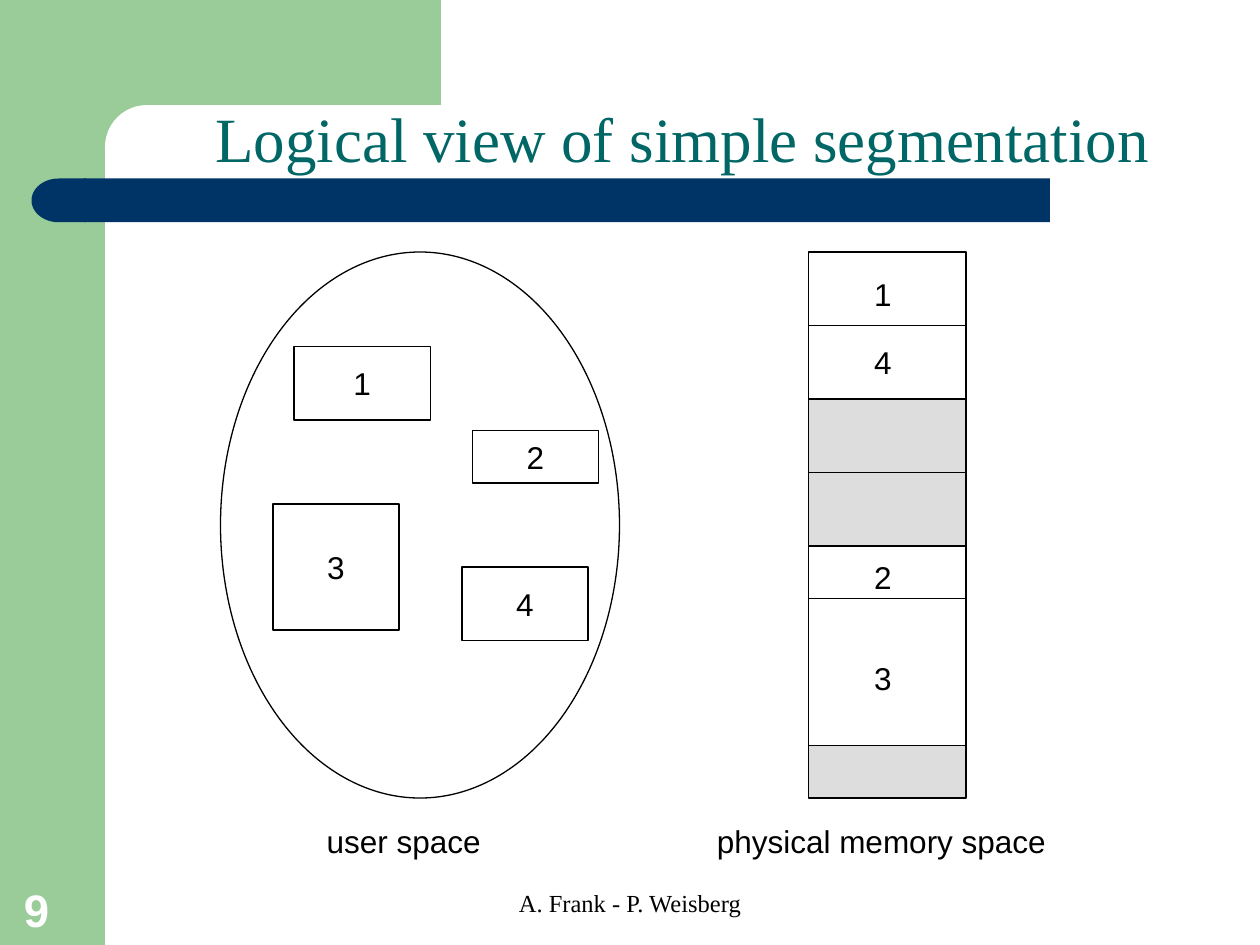
import pptx
import pptx.util
import pptx.dml.color
import pptx.enum.shapes
import pptx.enum.text
import pptx.oxml.ns
import lxml.etree

Pt = pptx.util.Pt
RGB = pptx.dml.color.RGBColor
KIND = pptx.enum.shapes.MSO_SHAPE
ANCHOR = pptx.enum.text.MSO_ANCHOR
ALIGN = pptx.enum.text.PP_ALIGN

GREEN = RGB(0x99, 0xCC, 0x99)
NAVY = RGB(0x00, 0x33, 0x66)
TEAL = RGB(0x00, 0x66, 0x66)
GRAY = RGB(0xDD, 0xDD, 0xDD)
WHITE = RGB(0xFF, 0xFF, 0xFF)
BLACK = RGB(0, 0, 0)


def write(shape, text, size=18, font="Arial", color=BLACK, bold=False,
          align=ALIGN.CENTER, anchor=ANCHOR.MIDDLE, wrap=False):
    frame = shape.text_frame
    frame.word_wrap = wrap
    frame.vertical_anchor = anchor
    para = frame.paragraphs[0]
    para.alignment = align
    run = para.add_run()
    run.text = text
    run.font.size = Pt(size)
    run.font.name = font
    run.font.bold = bold
    run.font.color.rgb = color


def label(slide, x, y, w, h, text, **style):
    box = slide.shapes.add_textbox(Pt(x), Pt(y), Pt(w), Pt(h))
    write(box, text, **style)


def draw(slide, kind, x, y, w, h, fill=WHITE, edge=True):
    shape = slide.shapes.add_shape(kind, Pt(x), Pt(y), Pt(w), Pt(h))
    shape.shadow.inherit = False
    shape.fill.solid()
    shape.fill.fore_color.rgb = fill
    if edge:
        shape.line.color.rgb = BLACK
        shape.line.width = Pt(0.75)
    else:
        shape.line.fill.background()
    return shape


def rule(slide, x, y, w):
    """Draw a thin level line from x, y across the width w."""
    line = slide.shapes.add_connector(
        pptx.enum.shapes.MSO_CONNECTOR.STRAIGHT,
        Pt(x), Pt(y), Pt(x + w), Pt(y))
    line.line.color.rgb = BLACK
    line.line.width = Pt(0.75)
    lxml.etree.SubElement(line._element.spPr,
                          pptx.oxml.ns.qn("a:effectLst"))
    return line


def frame(slide, w, h):
    """Draw the green margin, the page number and the footer."""
    draw(slide, KIND.RECTANGLE, 0, 0, 60, h, GREEN, False)
    draw(slide, KIND.RECTANGLE, 54, 0, 198, 84, GREEN, False)
    notch = draw(slide, KIND.ROUNDED_RECTANGLE, 60, 60, 246, 48, WHITE, False)
    notch.adjustments[0] = 0.5
    label(slide, 6.5, h - 40.3, 46, 38.9, "9", size=26, color=WHITE,
          bold=True, align=ALIGN.LEFT, anchor=ANCHOR.BOTTOM, wrap=True)
    label(slide, (w - 228) / 2, h - 36, 228, 36, "A. Frank - P. Weisberg",
          size=14, font="Times New Roman", anchor=ANCHOR.TOP, wrap=True)


def head(slide, x, y, w, h):
    """Draw the title with the navy bar below it."""
    bar = y + h - 1.5
    draw(slide, KIND.RECTANGLE, x - 12, bar, 552, 25, NAVY, False)
    cap = draw(slide, KIND.FLOWCHART_DELAY, x - 42, bar, 31, 25, NAVY, False)
    cap.rotation = 180
    label(slide, x, y, w, h, "Logical view of simple segmentation", size=36,
          font="Times New Roman", color=TEAL, anchor=ANCHOR.BOTTOM, wrap=True)


def user(slide, x, y, w, h):
    """Draw the user space: an oval that holds the segments."""
    draw(slide, KIND.OVAL, x, y, w, h)
    parts = [("1", 42, 54, 78, 42), ("3", 30, 144, 72, 72),
             ("2", 144, 102, 72, 30), ("4", 138, 180, 72, 42)]
    for text, dx, dy, pw, ph in parts:
        part = draw(slide, KIND.RECTANGLE, x + dx, y + dy, pw, ph)
        write(part, text)
    label(slide, x + 51, y + h + 10, 107.3, 28.8, "user space")


def memory(slide, x, y, w, h):
    """Draw the physical memory: blocks, dividers and segment numbers."""
    top = y
    blocks = [(84, WHITE, True), (84, GRAY, True),
              (114, WHITE, False), (30, GRAY, False)]
    for tall, fill, split in blocks:
        block = draw(slide, KIND.RECTANGLE, x, top, w, tall, fill)
        if split:
            line = rule(slide, x, top + tall / 2, w)
            line.begin_connect(block, 1)
            line.end_connect(block, 3)
        top += tall
    rule(slide, x, y + 198, w)
    for text, dy in [("1", 9.4), ("4", 48.2), ("2", 171.4), ("3", 229)]:
        label(slide, x + 30.2, y + dy, 24.5, 28.8, text)
    label(slide, x - 59.5, y + h + 10, 202.3, 28.8, "physical memory space")


def main():
    deck = pptx.Presentation()
    deck.slide_width, deck.slide_height = Pt(720), Pt(540)
    slide = deck.slides.add_slide(deck.slide_layouts[6])
    frame(slide, 720, 540)
    head(slide, 60, 55.5, 660, 48)
    user(slide, 126, 144, 228, 312)
    memory(slide, 462, 144, 90, 312)
    deck.save("out.pptx")


if __name__ == "__main__":
    main()
